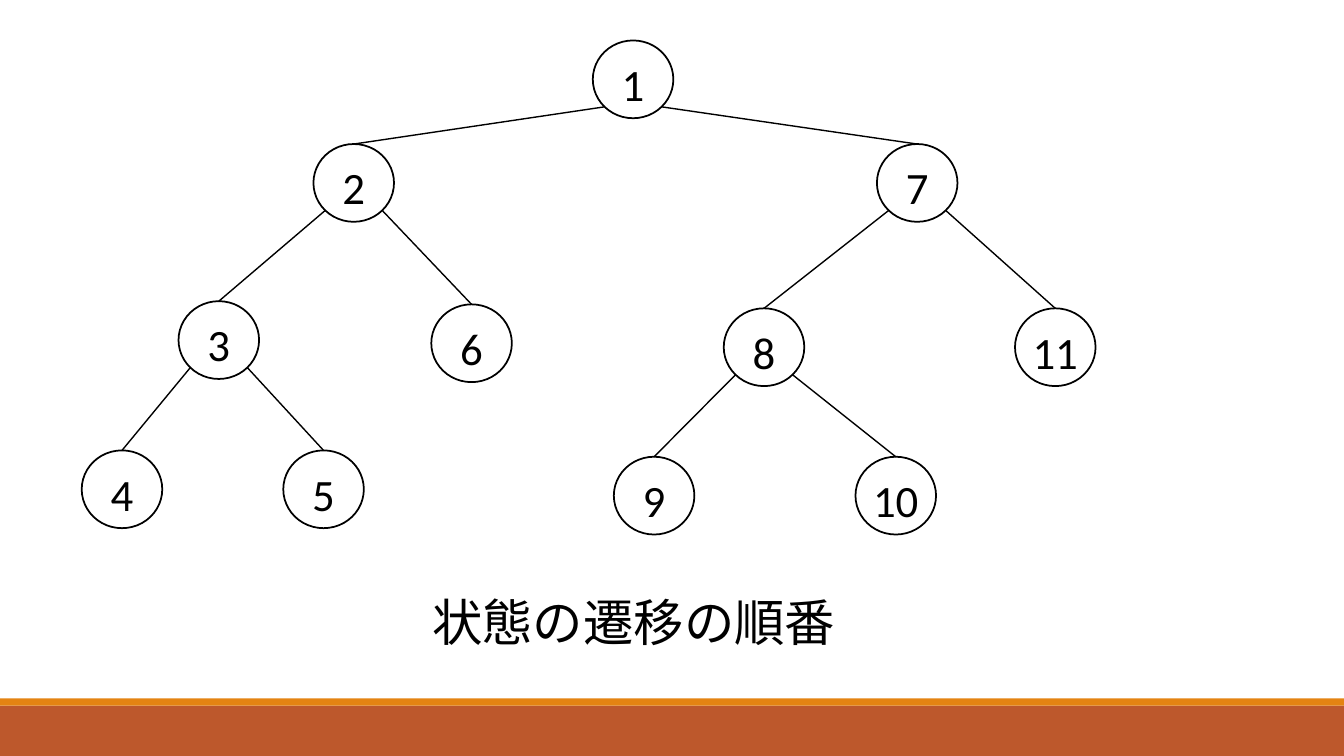
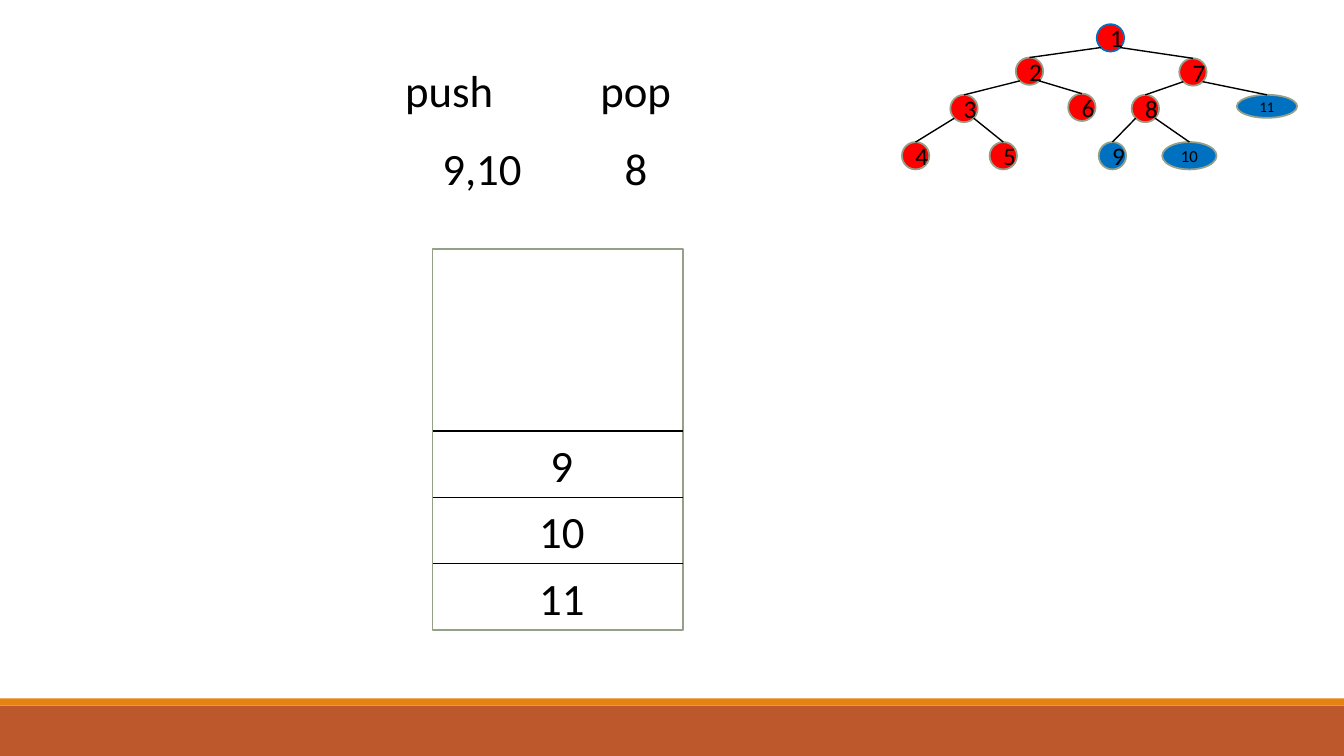
from dataclasses import dataclass

from lxml.etree import SubElement
from pptx import Presentation
from pptx.dml.color import RGBColor
from pptx.enum.shapes import MSO_CONNECTOR, MSO_SHAPE
from pptx.enum.text import PP_ALIGN
from pptx.oxml.ns import qn
from pptx.util import Cm, Pt


@dataclass(frozen=True)
class Theme:
    font: str = "Calibri"
    ink: str = "000000"
    paper: str = "FFFFFF"
    rust: str = "BD582C"
    amber: str = "E48312"
    sage: str = "94A088"
    red: str = "FF0000"
    blue: str = "0070C0"
    head: float = 36
    body: float = 32
    small: float = 18
    tiny: float = 12
    least: float = 10.5
    edge: float = 1
    frame: float = 1.25


THEME = Theme()
WIDTH = 33.87
HEIGHT = 19.05

BRANCH = {1: (2, 7), 2: (3, 6), 3: (4, 5), 7: (8, 11), 8: (9, 10)}

LARGE = (2.03, 1.96)
ORDER = {
    1: (14.94, 1.02), 2: (7.9, 3.63), 3: (4.5, 7.59), 4: (2.06, 11.35),
    5: (7.14, 11.35), 6: (10.87, 7.67), 7: (22.1, 3.63), 8: (18.24, 7.77),
    9: (15.47, 11.51), 10: (21.56, 11.51), 11: (25.58, 7.77),
}

SMALL = (0.69, 0.69)
STATE = {
    1: (27.64, 0.61), 2: (25.6, 1.45), 3: (23.95, 2.39), 4: (22.73, 3.58),
    5: (24.94, 3.58), 6: (26.92, 2.36), 7: (29.72, 1.47), 8: (28.52, 2.39),
    9: (27.69, 3.58), 10: (29.29, 3.58), 11: (31.17, 2.39),
}
OVAL = {10: (1.37, 0.69), 11: (1.52, 0.58)}
WAITING = (9, 10, 11)


def tone(code):
    return RGBColor.from_string(code)


def write(frame, text, size, align):
    frame.text = text
    line = frame.paragraphs[0]
    line.alignment = align
    for run in line.runs:
        run.font.name = THEME.font
        run.font.size = Pt(size)
        run.font.color.rgb = tone(THEME.ink)


def add_form(slide, kind, place, size, fill, line=None):
    form = slide.shapes.add_shape(kind, *map(Cm, (*place, *size)))
    form.shadow.inherit = False
    form.fill.solid()
    form.fill.fore_color.rgb = tone(fill)
    if line:
        form.line.color.rgb = tone(line)
        form.line.width = Pt(THEME.frame)
    else:
        form.line.fill.background()
    return form


def add_label(slide, place, size, text, points=THEME.body, align=PP_ALIGN.LEFT):
    box = slide.shapes.add_textbox(*map(Cm, (*place, *size)))
    box.text_frame.word_wrap = True
    write(box.text_frame, text, points, align)


def add_line(slide, start, end):
    line = slide.shapes.add_connector(MSO_CONNECTOR.STRAIGHT, *start, *end)
    line.line.color.rgb = tone(THEME.ink)
    line.line.width = Pt(THEME.edge)
    SubElement(line.element.spPr, qn("a:effectLst"))
    return line


def add_node(slide, key, place, size, fill, line, points):
    node = add_form(slide, MSO_SHAPE.OVAL, place, size, fill, line)
    write(node.text_frame, str(key), points, PP_ALIGN.CENTER)
    return node


def join_nodes(slide, nodes):
    reach = 0.5 ** 1.5
    for key, pair in BRANCH.items():
        top = nodes[key]
        low = top.top + int(top.height * (0.5 + reach))
        for child, side in zip(pair, (-1, 1)):
            node = nodes[child]
            start = (top.left + int(top.width * (0.5 + side * reach)), low)
            end = (node.left + node.width // 2, node.top)
            add_line(slide, start, end).end_connect(node, 0)


def add_bands(slide):
    for top, tall, fill in ((17.78, 1.27, THEME.rust), (17.6, 0.18, THEME.amber)):
        band = add_form(slide, MSO_SHAPE.RECTANGLE, (0, top), (WIDTH, tall), fill)
        slide.slide_layout.shapes.element.append(band.element)


def add_stack(slide, place, size, items, pitch):
    left, top = place
    wide, tall = size
    add_form(slide, MSO_SHAPE.RECTANGLE, place, size, THEME.paper, THEME.sage)
    for step, item in enumerate(items, 1):
        level = top + tall - step * pitch
        add_line(slide, (Cm(left), Cm(level)), (Cm(left + wide), Cm(level)))
        add_label(slide, (13.07, level + 0.05), (2.18, 1.63), item,
                  align=PP_ALIGN.CENTER)


def draw_order(slide):
    nodes = {}
    for key, place in ORDER.items():
        node = add_node(slide, key, place, LARGE, THEME.paper, THEME.ink, THEME.body)
        frame = node.text_frame
        frame.margin_left = frame.margin_right = frame.margin_bottom = 0
        frame.margin_top = Cm(0.2)
        nodes[key] = node
    join_nodes(slide, nodes)
    add_label(slide, (10.64, 14.76), (21.23, 1.8), "状態の遷移の順番", THEME.head)


def draw_state(slide):
    add_label(slide, (9.96, 1.45), (3.15, 1.63), "push")
    add_label(slide, (14.88, 1.45), (2.31, 1.63), "pop")
    add_label(slide, (10.9, 3.43), (2.69, 1.63), "9,10")
    add_label(slide, (15.49, 3.43), (2.18, 1.63), "8")
    add_stack(slide, (10.9, 6.27), (6.32, 9.6), ("11", "10", "9"), 1.67)
    points = {10: THEME.tiny, 11: THEME.least}
    nodes = {}
    for key, place in STATE.items():
        fill = THEME.blue if key in WAITING else THEME.red
        line = THEME.blue if key == 1 else THEME.sage
        nodes[key] = add_node(slide, key, place, OVAL.get(key, SMALL), fill, line,
                              points.get(key, THEME.small))
    join_nodes(slide, nodes)


def main():
    deck = Presentation()
    deck.slide_width, deck.slide_height = Cm(WIDTH), Cm(HEIGHT)
    blank = deck.slide_layouts.get_by_name("Blank")
    order, state = (deck.slides.add_slide(blank) for _ in range(2))
    add_bands(order)
    draw_order(order)
    draw_state(state)
    deck.save("out.pptx")


main()
